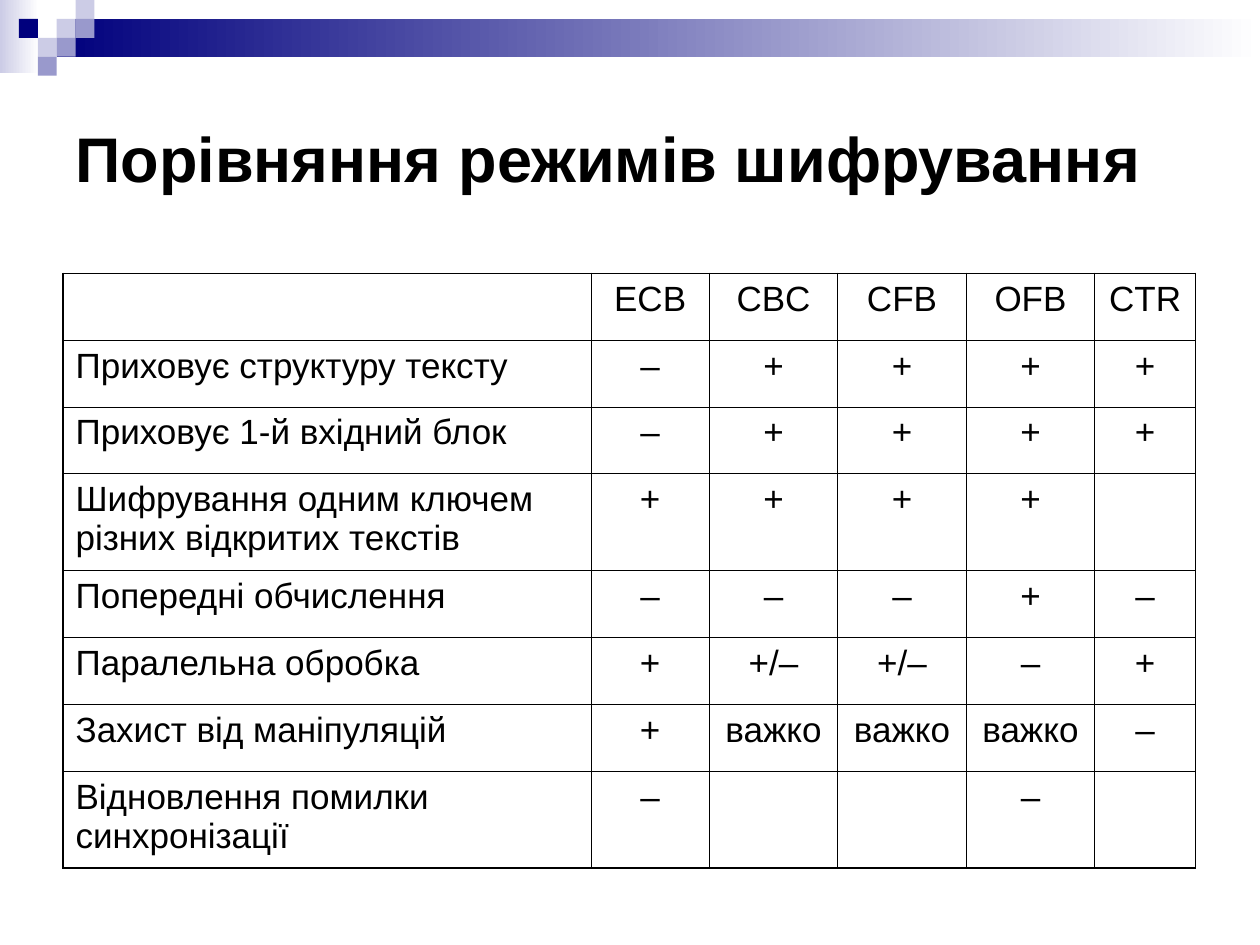
from dataclasses import dataclass

from lxml.etree import SubElement
from pptx import Presentation
from pptx.dml.color import RGBColor as RGB
from pptx.enum.shapes import MSO_SHAPE as Shape
from pptx.enum.text import MSO_ANCHOR as Anchor, PP_ALIGN as Align
from pptx.oxml.ns import qn
from pptx.util import Inches, Pt


@dataclass(frozen=True)
class Theme:
    font: str = "Arial"
    title: float = 36
    body: float = 20
    thin: float = 0.45
    thick: float = 1.08
    ink: str = "000000"
    paper: str = "FFFFFF"
    navy: str = "00007D"
    mid: str = "9999CC"
    pale: str = "CCCCE6"


THEME = Theme()
TILE = 0.15
# Column, row and colour of each tile in the corner
TILES = [
    (3, 1, THEME.pale), (4, 0, THEME.pale), (4, 1, THEME.mid),
    (2, 2, THEME.pale), (1, 1, THEME.navy), (3, 2, THEME.mid),
    (2, 3, THEME.mid),
]
WIDTHS = [4.19, 0.94, 1.02, 1.02, 1.02, 0.8]
LOW, HIGH = 0.53, 0.77
HEIGHTS = [LOW, LOW, LOW, HIGH, LOW, LOW, LOW, HIGH]
MODES = [
    ["", "ECB", "CBC", "CFB", "OFB", "CTR"],
    ["Приховує структуру тексту", "–", "+", "+", "+", "+"],
    ["Приховує 1-й вхідний блок", "–", "+", "+", "+", "+"],
    ["Шифрування одним ключем різних відкритих текстів",
     "+", "+", "+", "+", ""],
    ["Попередні обчислення", "–", "–", "–", "+", "–"],
    ["Паралельна обробка", "+", "+/–", "+/–", "–", "+"],
    ["Захист від маніпуляцій", "+", "важко", "важко", "важко", "–"],
    ["Відновлення помилки синхронізації", "–", "", "", "–", ""],
]


def style(para, size, bold=False):
    for run in para.runs:
        font = run.font
        font.name, font.size, font.bold = THEME.font, Pt(size), bold
        font.color.rgb = RGB.from_string(THEME.ink)


def add_rect(slide, box, color, fade=False):
    """Add a borderless rectangle, fading to paper on the right if asked."""
    rect = slide.shapes.add_shape(Shape.RECTANGLE, *map(Inches, box))
    rect.shadow.inherit = False
    rect.line.fill.background()
    fill = rect.fill
    if fade:
        fill.gradient()
        fill.gradient_angle = 0
        for stop, tone in zip(fill.gradient_stops, (color, THEME.paper)):
            stop.color.rgb = RGB.from_string(tone)
    else:
        fill.solid()
        fill.fore_color.rgb = RGB.from_string(color)


def add_banner(slide, box):
    left, top, width, height = box
    start = 3 * TILE
    add_rect(slide, (left, top, 0.31, height), THEME.pale, fade=True)
    add_rect(slide, (left + start, top + TILE, width - start, 2 * TILE),
             THEME.navy, fade=True)
    for col, row, color in TILES:
        add_rect(slide, (left + col * TILE, top + row * TILE, TILE, TILE),
                 color)


def add_title(slide, box, text):
    title = slide.shapes.title
    title.left, title.top, title.width, title.height = map(Inches, box)
    frame = title.text_frame
    frame.text = text
    frame.word_wrap = True
    frame.vertical_anchor = Anchor.MIDDLE
    para = frame.paragraphs[0]
    para.alignment = Align.LEFT
    style(para, THEME.title, bold=True)


def set_edges(cell, outer):
    """Draw the four cell borders, thick on the sides named in outer."""
    props = cell._tc.get_or_add_tcPr()
    for side in "LRTB":
        width = THEME.thick if side in outer else THEME.thin
        line = SubElement(props, qn(f"a:ln{side}"), w=str(Pt(width)))
        fill = SubElement(line, qn("a:solidFill"))
        SubElement(fill, qn("a:srgbClr"), val=THEME.ink)


def add_grid(slide, box, rows):
    count, span = len(rows), len(rows[0])
    table = slide.shapes.add_table(count, span, *map(Inches, box)).table
    table.first_row = table.horz_banding = False
    for col, width in zip(table.columns, WIDTHS):
        col.width = Inches(width)
    for row, height in zip(table.rows, HEIGHTS):
        row.height = Inches(height)
    for r, texts in enumerate(rows):
        for c, text in enumerate(texts):
            cell = table.cell(r, c)
            cell.text_frame.text = text
            para = cell.text_frame.paragraphs[0]
            para.alignment = Align.CENTER if c else Align.LEFT
            style(para, THEME.body)
            edges = {"L": c == 0, "R": c == span - 1,
                     "T": r == 0, "B": r == count - 1}
            set_edges(cell, [side for side, outer in edges.items() if outer])
            cell.fill.background()


def main():
    deck = Presentation()
    deck.slide_width, deck.slide_height = Inches(10), Inches(7.5)
    slide = deck.slides.add_slide(deck.slide_layouts[5])
    add_banner(slide, (0, 0, 10, 0.58))
    add_title(slide, (0.5, 0.5, 9, 1.5), "Порівняння режимів шифрування")
    add_grid(slide, (0.5, 2.17, 9, 4.72), MODES)
    deck.save("out.pptx")


if __name__ == "__main__":
    main()
